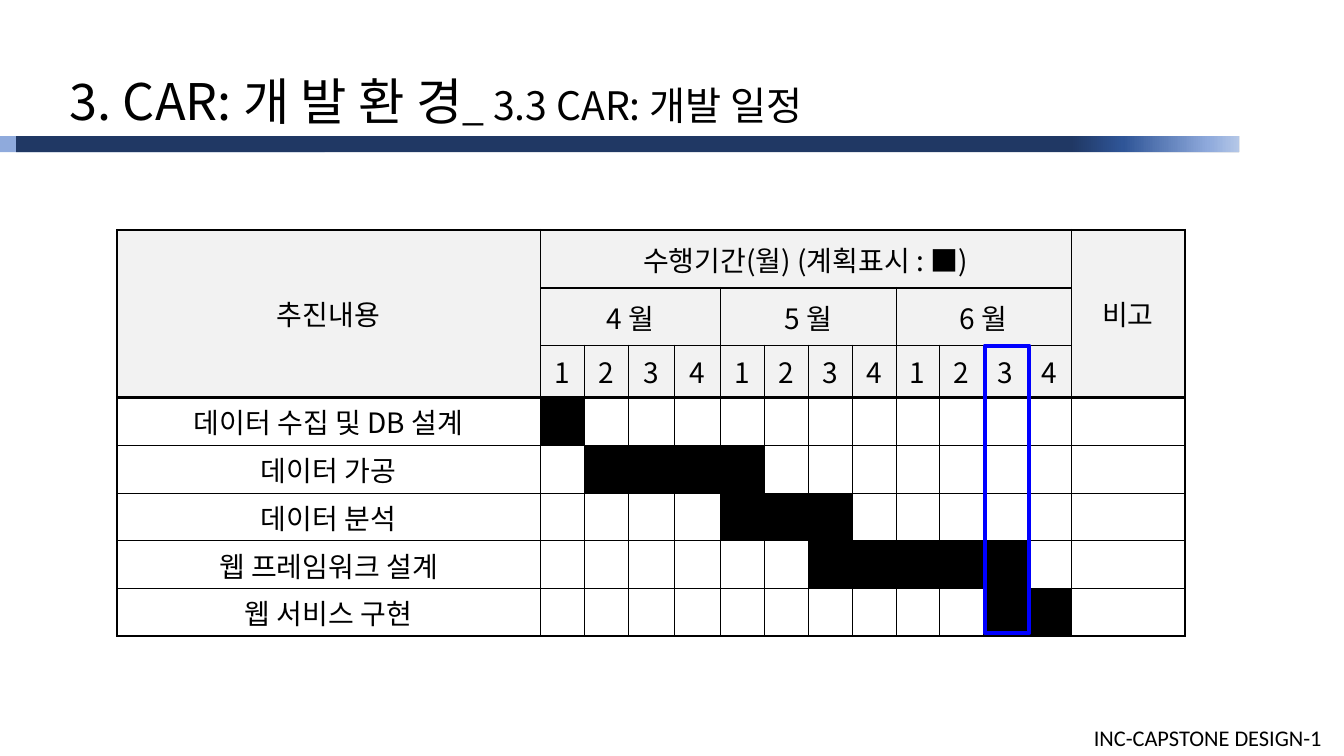
"""Build the development schedule slide with its Gantt-style table."""
from dataclasses import dataclass
from typing import Any

from lxml.etree import SubElement
from pptx import Presentation
from pptx.dml.color import RGBColor
from pptx.enum.dml import MSO_LINE
from pptx.enum.shapes import MSO_SHAPE
from pptx.enum.text import MSO_ANCHOR, MSO_AUTO_SIZE, PP_ALIGN
from pptx.oxml.ns import qn
from pptx.util import Inches, Pt

BLACK = RGBColor(0x00, 0x00, 0x00)
HEADER_GRAY = RGBColor(0xF2, 0xF2, 0xF2)
NAVY = RGBColor(0x20, 0x38, 0x64)
MID_BLUE = RGBColor(0x2F, 0x55, 0x97)
SOFT_BLUE = RGBColor(0x8F, 0xAA, 0xDC)
PALE_BLUE = RGBColor(0xB4, 0xC7, 0xE7)
MARKER_BLUE = RGBColor(0x00, 0x00, 0xFF)

KOREAN_FONT = "Noto Sans CJK KR"
LATIN_FONT = "Calibri"
WIDTH, HEIGHT = Inches(13.33), Inches(7.5)

WEEK, WIDE_WEEK = 3.26, 3.45
COLUMNS = [31.5, WEEK, WEEK, WIDE_WEEK, WIDE_WEEK] + [WEEK] * 8 + [8.48]
ROWS = [7.65, 7.65, 6.88] + [6.32] * 5
HEADER_ROWS = 3
WEEKS_PER_MONTH = 4
THIN, MEDIUM, THICK = 0.28, 1.41, 1.98
HORIZONTAL_RULES = [MEDIUM] * 3 + [THICK] + [THIN] * 4 + [MEDIUM]
VERTICAL_RULES = [MEDIUM] + [THIN] * 13 + [MEDIUM]


@dataclass(frozen=True)
class Box:
    """A rectangle in percent of the slide's width and height."""

    left: float
    top: float
    width: float
    height: float


@dataclass(frozen=True)
class Bar:
    """A filled strip of the title rule."""

    box: Box
    color: RGBColor
    stops: tuple[tuple[int, RGBColor], ...] = ()


@dataclass(frozen=True)
class Heading:
    """A header cell and the rows and columns it spans."""

    text: str
    row: int
    column: int
    rows: int = 1
    columns: int = 1


@dataclass(frozen=True)
class Task:
    """A task with its first and last planned week."""

    name: str
    first: int
    last: int


BARS = [
    Bar(Box(0, 18, 24.16, 2.13), SOFT_BLUE),
    Bar(Box(1.2, 18, 91, 2.13), NAVY),
    Bar(Box(79.67, 18, 12.53, 2.13), NAVY,
        ((0, PALE_BLUE), (18, SOFT_BLUE), (69, MID_BLUE), (100, NAVY))),
]
HEADINGS = [
    Heading("추진내용", 0, 0, rows=3),
    Heading("수행기간(월) (계획표시 : ■)", 0, 1, columns=12),
    Heading("비고", 0, 13, rows=3),
    *(Heading(f"{month} 월", 1, 1 + WEEKS_PER_MONTH * index, columns=WEEKS_PER_MONTH)
      for index, month in enumerate((4, 5, 6))),
]
TASKS = [
    Task("데이터 수집 및 DB 설계", 1, 1),
    Task("데이터 가공", 2, 5),
    Task("데이터 분석", 5, 7),
    Task("웹 프레임워크 설계", 7, 11),
    Task("웹 서비스 구현", 11, 12),
]


def across(percent: float) -> int:
    """Return a share of the slide's width."""
    return round(WIDTH * percent / 100)


def down(percent: float) -> int:
    """Return a share of the slide's height."""
    return round(HEIGHT * percent / 100)


def frame(box: Box) -> tuple[int, int, int, int]:
    """Return a box as left, top, width and height."""
    return across(box.left), down(box.top), across(box.width), down(box.height)


def apply(target: Any, values: dict[str, Any]) -> None:
    """Set each named attribute on the target."""
    for name, value in values.items():
        setattr(target, name, value)


def add_run(paragraph: Any, text: str, size: float, font: str = KOREAN_FONT) -> None:
    """Add a black run in the given font and size."""
    run = paragraph.add_run()
    run.text = text
    apply(run.font, {"size": Pt(size), "name": font, "bold": False})
    run.font.color.rgb = BLACK
    SubElement(run.font._element, qn("a:ea"), typeface=font)


def add_rectangle(slide: Any, box: Box) -> Any:
    """Add a rectangle without shadow."""
    shape = slide.shapes.add_shape(MSO_SHAPE.RECTANGLE, *frame(box))
    shape.shadow.inherit = False
    return shape


def draw_bar(slide: Any, bar: Bar) -> None:
    """Draw one strip, solid or with gradient stops."""
    shape = add_rectangle(slide, bar.box)
    shape.line.fill.background()
    if not bar.stops:
        shape.fill.solid()
        shape.fill.fore_color.rgb = bar.color
        return
    shape.fill.gradient()
    shape.fill.gradient_angle = 180
    stop_list = shape._element.spPr.find(qn("a:gradFill")).find(qn("a:gsLst"))
    stop_list.clear()
    for position, color in bar.stops:
        stop = SubElement(stop_list, qn("a:gs"), pos=str(position * 1000))
        SubElement(stop, qn("a:srgbClr"), val=str(color))


def write_cell(cell: Any, text: str, horizontal: float = 0.3, vertical: float = 0.53) -> None:
    """Write centred text with the given insets."""
    apply(cell, {"vertical_anchor": MSO_ANCHOR.MIDDLE,
                 "margin_left": across(horizontal), "margin_right": across(horizontal),
                 "margin_top": down(vertical), "margin_bottom": down(vertical)})
    paragraph = cell.text_frame.paragraphs[0]
    paragraph.alignment = PP_ALIGN.CENTER
    add_run(paragraph, text, 20)


def finish_cell(cell: Any, row: int, column: int) -> None:
    """Give a cell its borders and fill."""
    bottom = row + (cell.span_height if cell.is_merge_origin else 1)
    right = column + (cell.span_width if cell.is_merge_origin else 1)
    widths = {"a:lnL": VERTICAL_RULES[column], "a:lnR": VERTICAL_RULES[right],
              "a:lnT": HORIZONTAL_RULES[row], "a:lnB": HORIZONTAL_RULES[bottom]}
    properties = cell._tc.get_or_add_tcPr()
    for tag, width in widths.items():
        border = SubElement(properties, qn(tag), w=str(Pt(width)))
        SubElement(SubElement(border, qn("a:solidFill")), qn("a:srgbClr"), val=str(BLACK))
        SubElement(border, qn("a:prstDash"), val=MSO_LINE.to_xml(MSO_LINE.SOLID))
    is_header = row < HEADER_ROWS
    task = None if is_header else TASKS[row - HEADER_ROWS]
    if is_header or task.first <= column <= task.last:
        cell.fill.solid()
        cell.fill.fore_color.rgb = HEADER_GRAY if is_header else BLACK
    else:
        cell.fill.background()


def draw_schedule(slide: Any) -> None:
    """Draw the schedule table."""
    box = Box(8.7, 30.4, sum(COLUMNS), sum(ROWS))
    table = slide.shapes.add_table(len(ROWS), len(COLUMNS), *frame(box)).table
    apply(table, {"first_row": False, "horz_banding": False})
    for column, share in zip(table.columns, COLUMNS):
        column.width = across(share)
    for row, share in zip(table.rows, ROWS):
        row.height = down(share)
    for heading in HEADINGS:
        cell = table.cell(heading.row, heading.column)
        cell.merge(table.cell(heading.row + heading.rows - 1,
                              heading.column + heading.columns - 1))
        write_cell(cell, heading.text, 1.35, 1.2)
    for week in range(12):
        write_cell(table.cell(2, week + 1), str(week % WEEKS_PER_MONTH + 1))
    for row, task in enumerate(TASKS, HEADER_ROWS):
        write_cell(table.cell(row, 0), task.name)
    for row in range(len(ROWS)):
        for column in range(len(COLUMNS)):
            finish_cell(table.cell(row, column), row, column)


def draw_title(slide: Any) -> None:
    """Place and fill the title placeholder."""
    title = slide.shapes.title
    apply(title, dict(zip(("left", "top", "width", "height"),
                          frame(Box(2.78, 8.53, 67.14, 9.47)))))
    apply(title.text_frame, {"auto_size": MSO_AUTO_SIZE.NONE, "word_wrap": True,
                             "vertical_anchor": MSO_ANCHOR.MIDDLE, "margin_left": across(2.4)})
    paragraph = title.text_frame.paragraphs[0]
    paragraph.alignment = PP_ALIGN.LEFT
    add_run(paragraph, "3. CAR: 개 발 환 경", 36)
    add_run(paragraph, "_ 3.3 CAR: 개발 일정", 28)


def main() -> None:
    """Build and save the presentation."""
    presentation = Presentation()
    apply(presentation, {"slide_width": WIDTH, "slide_height": HEIGHT})
    slide = presentation.slides.add_slide(presentation.slide_layouts[5])
    for bar in BARS:
        draw_bar(slide, bar)
    footer = slide.shapes.add_textbox(*frame(Box(80.65, 95.07, 19.35, 4.93)))
    add_run(footer.text_frame.paragraphs[0], "INC-CAPSTONE DESIGN-1", 16, LATIN_FONT)
    draw_schedule(slide)
    draw_title(slide)
    marker = add_rectangle(slide, Box(73.29, 45.73, 3.3, 38))
    marker.fill.background()
    marker.line.color.rgb = MARKER_BLUE
    marker.line.width = Pt(3)
    presentation.save("out.pptx")


if __name__ == "__main__":
    main()
